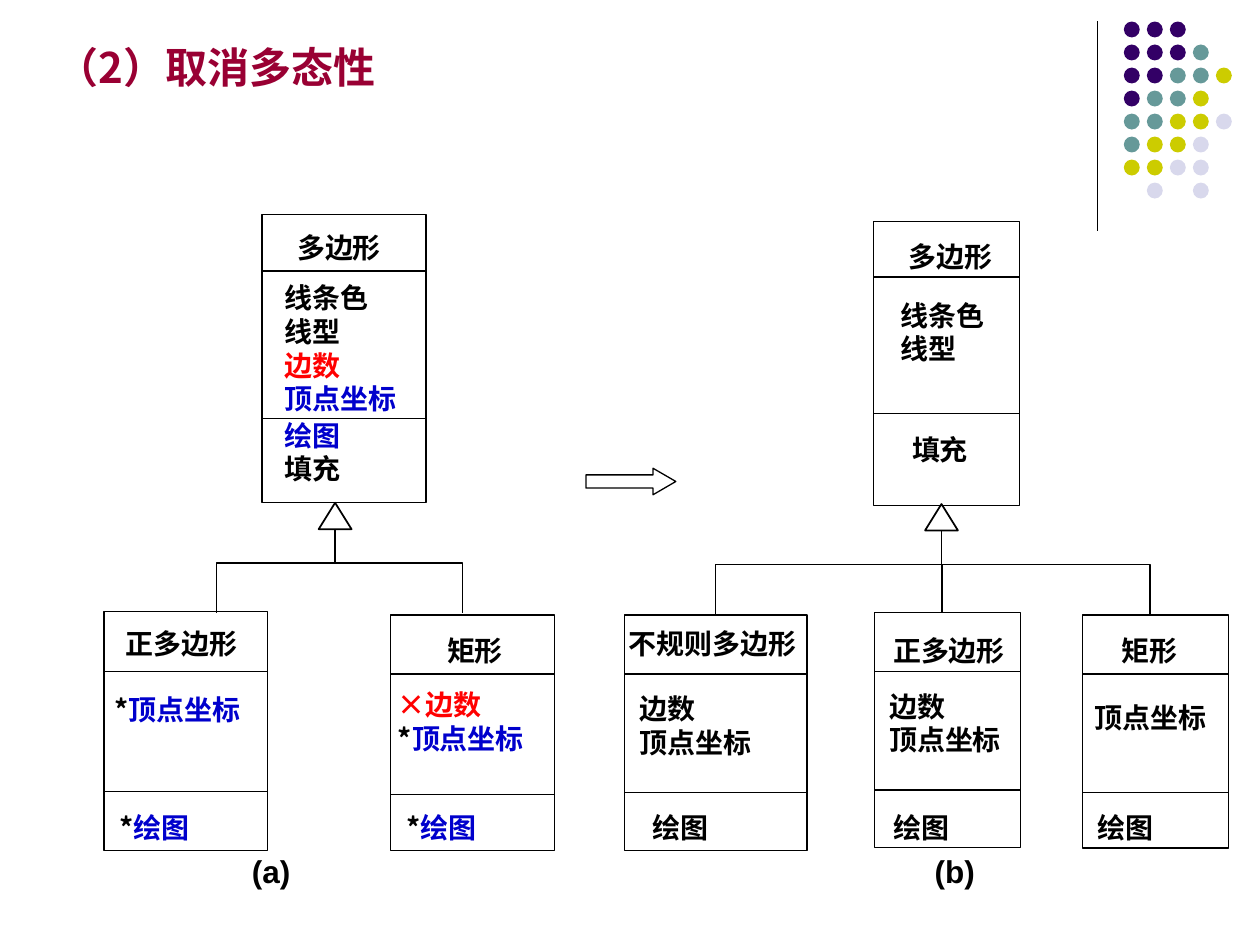
from lxml import etree
from pptx import Presentation
from pptx.dml.color import RGBColor
from pptx.enum.shapes import MSO_CONNECTOR, MSO_SHAPE
from pptx.enum.text import MSO_ANCHOR, MSO_AUTO_SIZE, PP_ALIGN
from pptx.oxml.ns import qn
from pptx.util import Pt

CJK, LATIN = "Noto Sans CJK SC", "Arial"
COLORS = {
    "black": "000000", "white": "FFFFFF", "red": "FF0000", "blue": "0000CC",
    "title": "990033", "P": "330066", "T": "669999", "Y": "CCCC00", "L": "D8D8EC",
}

TITLE = "（2）取消多态性"
CAPTIONS = [("(a)", 136.8), ("(b)", 527)]  # text, left
CAPTION_TOP, CAPTION_WIDTH = 483.1, 40
DOT_ROWS = ["PPP", "PPPT", "PPTTY", "PTTY", "TTYYL", "TYYL", "YYLL", " L L"]
DOT_LEFT, DOT_TOP, DOT_PITCH, DOT_SIZE = 642.2, 12.3, 13.15, 9.1

# A line of text is a list of (text, colour) runs.
VERTICES = [("顶点坐标", "black")]
SIDES = [("边数", "black")]
DRAW = [("绘图", "black")]
FILL = [("填充", "black")]
LINE_COLOR = [("线条色", "black")]
LINE_TYPE = [("线型", "black")]
POLYGON = [("多边形", "black")]
REGULAR = [("正多边形", "black")]
RECTANGLE = [("矩形", "black")]
IRREGULAR = [("不规则多边形", "black")]
BLUE_VERTICES = [("顶点坐标", "blue")]
BLUE_DRAW = [("绘图", "blue")]
STAR = [("*", "black")]

# Class boxes: frame (left, top, width, height), the two divider heights,
# and the three compartments as (left, top, lines).
CLASSES = [
    ((149.8, 122.4, 93.6, 164.9), (154.8, 239.2), [
        (162.7, 128.2, [POLYGON]),
        (155.7, 157, [LINE_COLOR, LINE_TYPE, [("边数", "red")], BLUE_VERTICES]),
        (155.4, 235.4, [BLUE_DRAW, FILL])]),
    ((59.5, 349.6, 93.6, 136.4), (383.8, 452.3), [
        (64.8, 354.2, [REGULAR]),
        (58.5, 392.4, [STAR + BLUE_VERTICES]),
        (61.2, 459.4, [STAR + BLUE_DRAW])]),
    ((223.2, 351.4, 93.6, 134.6), (385.2, 454.2), [
        (248.4, 358.6, [RECTANGLE]),
        (220.3, 389.5, [[("×边数", "red")], STAR + BLUE_VERTICES]),
        (225.4, 459.4, [STAR + BLUE_DRAW])]),
    ((499, 126.7, 83.5, 162), (158.3, 236.1), [
        (511.9, 133.2, [POLYGON]),
        (507.6, 167, [LINE_COLOR, LINE_TYPE]),
        (514.1, 243.4, [FILL])]),
    ((357, 351.4, 104.2, 134.6), (385.2, 453), [
        (352.1, 354.2, [IRREGULAR]),
        (358.4, 391.7, [SIDES, VERTICES]),
        (365.8, 459.4, [DRAW])]),
    ((499.6, 349.9, 83.5, 134.6), (383.8, 451.4), [
        (503.3, 358.6, [REGULAR]),
        (501.1, 390.2, [SIDES, VERTICES]),
        (503.3, 459.4, [DRAW])]),
    ((618.4, 351.4, 83.5, 133.2), (385.2, 453), [
        (633.6, 358.6, [RECTANGLE]),
        (618.5, 396.7, [VERTICES]),
        (619.9, 459.4, [DRAW])]),
]
# Inheritance trees: apex x, apex y, x of the outer children
TREES = [(191.5, 287.3, (264.2, 123.8)), (538, 288, (657.2, 408.7))]
HEAD_W, HEAD_H, STEM, DROP = 18.8, 15.1, 19.4, 28.8


def rgb(name):
    return RGBColor.from_string(COLORS[name])


def add_shape(slide, kind, box, fill, outlined=True):
    sp = slide.shapes.add_shape(kind, *map(Pt, box))
    sp.shadow.inherit = False
    sp.fill.solid()
    sp.fill.fore_color.rgb = rgb(fill)
    if outlined:
        sp.line.color.rgb = rgb("black")
        sp.line.width = Pt(0.75)
    else:
        sp.line.fill.background()
    return sp


def add_line(slide, x1, y1, x2, y2):
    line = slide.shapes.add_connector(
        MSO_CONNECTOR.STRAIGHT, Pt(x1), Pt(y1), Pt(x2), Pt(y2))
    line.line.color.rgb = rgb("black")
    line.line.width = Pt(0.75)
    etree.SubElement(line._element.spPr, qn("a:effectLst"))


def add_path(slide, points, width, closed=False):
    points = [(Pt(x), Pt(y)) for x, y in points]
    builder = slide.shapes.build_freeform(*points[0])
    builder.add_line_segments(points[1:], close=closed)
    sp = builder.convert_to_shape()
    sp.shadow.inherit = False
    if closed:
        sp.fill.solid()
        sp.fill.fore_color.rgb = rgb("white")
    else:
        sp.fill.background()
    sp.line.color.rgb = rgb("black")
    sp.line.width = Pt(width)


def write(tf, lines, size, font):
    for i, runs in enumerate(lines):
        p = tf.paragraphs[0] if i == 0 else tf.add_paragraph()
        p.alignment = PP_ALIGN.LEFT
        p.line_spacing = Pt(size * 1.2)
        for text, color in runs:
            r = p.add_run()
            r.text = text
            r.font.name = font
            r.font.size = Pt(size)
            r.font.bold = True
            r.font.color.rgb = rgb(color)
            etree.SubElement(r._r.get_or_add_rPr(), qn("a:ea")).set("typeface", font)


def add_label(slide, left, top, lines, size=16, font=CJK, width=None):
    """Add an unwrapped label; its width follows the longest line unless given."""
    if width is None:
        texts = ["".join(text for text, _ in runs) for runs in lines]
        width = 14.4 + max(
            sum(12 if c == "*" else size for c in text) for text in texts)
    height = 7.2 + size * 1.2 * len(lines)
    tb = slide.shapes.add_textbox(Pt(left), Pt(top), Pt(width), Pt(height))
    tb.text_frame.word_wrap = False
    write(tb.text_frame, lines, size, font)


def add_title(slide):
    title = slide.shapes.title
    title.left, title.top, title.width, title.height = map(Pt, (25.2, 20.2, 254.9, 36))
    tf = title.text_frame
    tf.word_wrap = True
    tf.auto_size = MSO_AUTO_SIZE.NONE
    tf.vertical_anchor = MSO_ANCHOR.TOP
    write(tf, [[(TITLE, "title")]], 24, CJK)


def add_dots(slide):
    add_line(slide, 627.1, 12.2, 627.1, 131.8)
    for row, keys in enumerate(DOT_ROWS):
        for col, key in enumerate(keys):
            if key != " ":
                box = (DOT_LEFT + col * DOT_PITCH, DOT_TOP + row * DOT_PITCH,
                       DOT_SIZE, DOT_SIZE)
                add_shape(slide, MSO_SHAPE.OVAL, box, key, outlined=False)


def add_class(slide, frame, dividers, compartments):
    add_shape(slide, MSO_SHAPE.RECTANGLE, frame, "white")
    left, _, width, _ = frame
    for y in dividers:
        add_line(slide, left, y, left + width, y)
    for x, y, lines in compartments:
        add_label(slide, x, y, lines)


def add_tree(slide, x, y, child_xs):
    base = y + HEAD_H
    bar = base + STEM
    for child_x in child_xs:
        add_path(slide, [(x, base), (x, bar), (child_x, bar), (child_x, bar + DROP)], 0.75)
    head = [(x - HEAD_W / 2, base), (x + HEAD_W / 2, base), (x, y)]
    add_path(slide, head, 1, closed=True)


prs = Presentation()
prs.slide_width, prs.slide_height = Pt(720), Pt(540)
slide = prs.slides.add_slide(prs.slide_layouts[5])
add_dots(slide)
add_title(slide)
for text, left in CAPTIONS:
    add_label(slide, left, CAPTION_TOP, [[(text, "black")]], 18, LATIN, CAPTION_WIDTH)
for frame, dividers, compartments in CLASSES:
    add_class(slide, frame, dividers, compartments)
arrow = add_shape(slide, MSO_SHAPE.RIGHT_ARROW, (334.8, 267.6, 51.4, 15.1), "white")
arrow.adjustments[0], arrow.adjustments[1] = 0.5, 0.86
for x, y, child_xs in TREES:
    add_tree(slide, x, y, child_xs)
add_line(slide, 538.3, 322.5, 538.3, 349.9)
prs.save("out.pptx")
